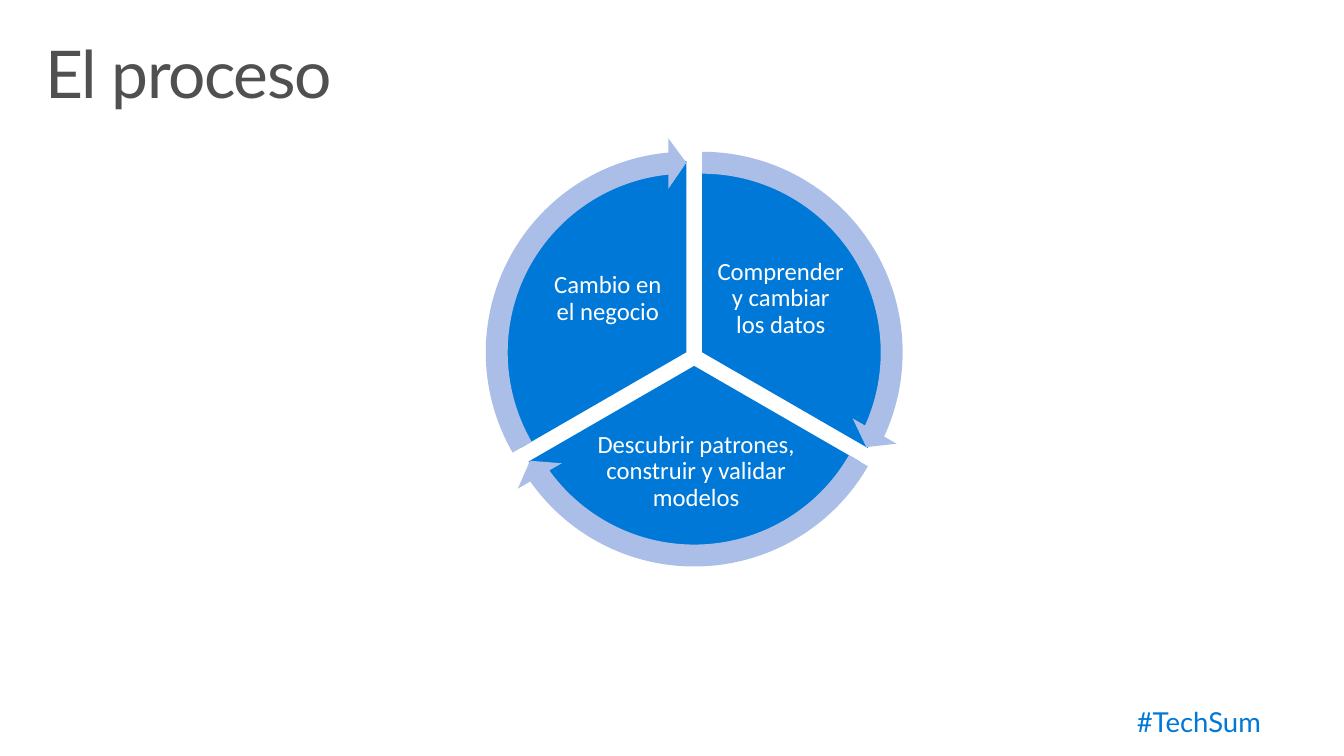
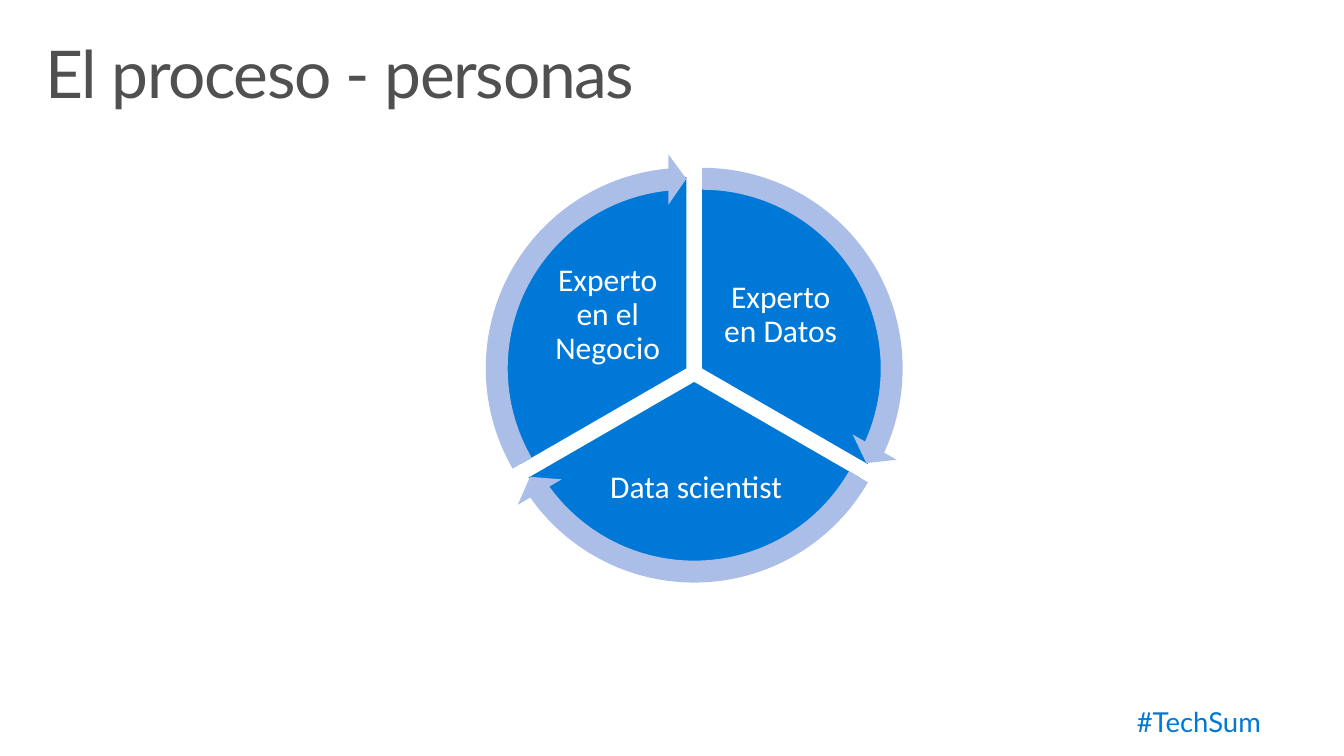
from dataclasses import dataclass
from math import cos, radians, sin

from pptx import Presentation
from pptx.dml.color import RGBColor
from pptx.enum import shapes, text
from pptx.util import Pt


@dataclass(frozen=True)
class Theme:
    accent: RGBColor = RGBColor(0x00, 0x78, 0xD7)
    ring: RGBColor = RGBColor(0xAB, 0xBE, 0xE8)
    heading: RGBColor = RGBColor(0x50, 0x50, 0x50)
    label: RGBColor = RGBColor(0xFF, 0xFF, 0xFF)
    heading_font: str = "Lato"
    label_font: str = "Calibri"
    heading_size: int = 48
    hashtag_size: int = 20


theme = Theme()

HUB_X = 505.8
SECTOR_GAP = 6.64  # distance each sector is pushed out from the hub
PIE_SIZE = 278.6
RING_SIZE = 313.2
SWEEP = 120
HEAD_ANGLE = 5.46
RING_WIDTH, HEAD_WIDTH = 0.051, 0.059
ANGLE_UNIT = 0.6  # adjustment value per degree

# Label centre relative to the hub, then label size, clockwise from the top
LABEL_BOXES = [
    (63, -42.2, 99.4, 82.8),
    (1.4, 83.8, 149, 72.7),
    (-63, -42.2, 99.4, 82.8),
]

# Title, hub height, label size, sector labels
CYCLES = [
    ("El proceso", 260, 18,
     ["Comprender y cambiar los datos",
      "Descubrir patrones, construir y validar modelos",
      "Cambio en el negocio"]),
    ("El proceso - personas", 271.7, 23,
     ["Experto en Datos", "Data scientist", "Experto en el Negocio"]),
]


def write(frame, words, font, size, color, align, inset_x, inset_y):
    frame.word_wrap = True
    frame.margin_left = frame.margin_right = Pt(inset_x)
    frame.margin_top = frame.margin_bottom = Pt(inset_y)
    frame.text = words
    paragraph = frame.paragraphs[0]
    paragraph.alignment = align
    paragraph.line_spacing = 0.9
    paragraph.font.name = font
    paragraph.font.size = Pt(size)
    paragraph.font.color.rgb = color


def add_sector_part(parent, preset, center_x, center_y, size, color, adjustments):
    part = parent.shapes.add_shape(
        preset, Pt(center_x - size / 2), Pt(center_y - size / 2), Pt(size), Pt(size))
    part.shadow.inherit = False
    part.fill.solid()
    part.fill.fore_color.rgb = color
    part.line.fill.background()
    for index, value in enumerate(adjustments):
        part.adjustments[index] = value


prs = Presentation()
prs.slide_width, prs.slide_height = Pt(979.2), Pt(550.8)
title_only = prs.slide_layouts[5]

for heading, hub_y, label_size, labels in CYCLES:
    slide = prs.slides.add_slide(title_only)

    title = slide.shapes.title
    title.left, title.top, title.width, title.height = Pt(21.6), Pt(23), Pt(936), Pt(72)
    title.text_frame.auto_size = text.MSO_AUTO_SIZE.NONE
    title.text_frame.vertical_anchor = text.MSO_ANCHOR.TOP
    write(title.text_frame, heading, theme.heading_font, theme.heading_size,
          theme.heading, text.PP_ALIGN.LEFT, 11.5, 7.2)
    title.text_frame.paragraphs[0].runs[0]._r.get_or_add_rPr().set("spc", "-100")

    hashtag = slide.shapes.add_textbox(Pt(645.8), Pt(505.4), Pt(287.3), Pt(45.4))
    hashtag.text_frame.auto_size = text.MSO_AUTO_SIZE.SHAPE_TO_FIT_TEXT
    write(hashtag.text_frame, "#TechSum", theme.heading_font, theme.hashtag_size,
          theme.accent, text.PP_ALIGN.RIGHT, 14.4, 11.5)

    cycle = slide.shapes.add_group_shape()
    sectors = []
    for index in range(len(labels)):
        start = (270 + index * SWEEP) % 360
        end = (start + SWEEP) % 360
        middle = radians(start + SWEEP / 2)
        sectors.append((HUB_X + SECTOR_GAP * cos(middle),
                        hub_y + SECTOR_GAP * sin(middle), start, end))

    for (x, y, start, end), words, box in zip(sectors, labels, LABEL_BOXES):
        add_sector_part(cycle, shapes.MSO_SHAPE.PIE, x, y, PIE_SIZE, theme.accent,
                        [start * ANGLE_UNIT, end * ANGLE_UNIT])
        dx, dy, width, height = box
        label = cycle.shapes.add_textbox(
            Pt(HUB_X + dx - width / 2), Pt(hub_y + dy - height / 2), Pt(width), Pt(height))
        label.text_frame.vertical_anchor = text.MSO_ANCHOR.MIDDLE
        write(label.text_frame, words, theme.label_font, label_size,
              theme.label, text.PP_ALIGN.CENTER, 2.2, 2.2)

    for x, y, start, end in sectors:
        add_sector_part(cycle, shapes.MSO_SHAPE.CIRCULAR_ARROW, x, y, RING_SIZE, theme.ring,
                        [RING_WIDTH, HEAD_ANGLE * ANGLE_UNIT,
                         (end - HEAD_ANGLE) * ANGLE_UNIT, start * ANGLE_UNIT, HEAD_WIDTH])

prs.save("out.pptx")
